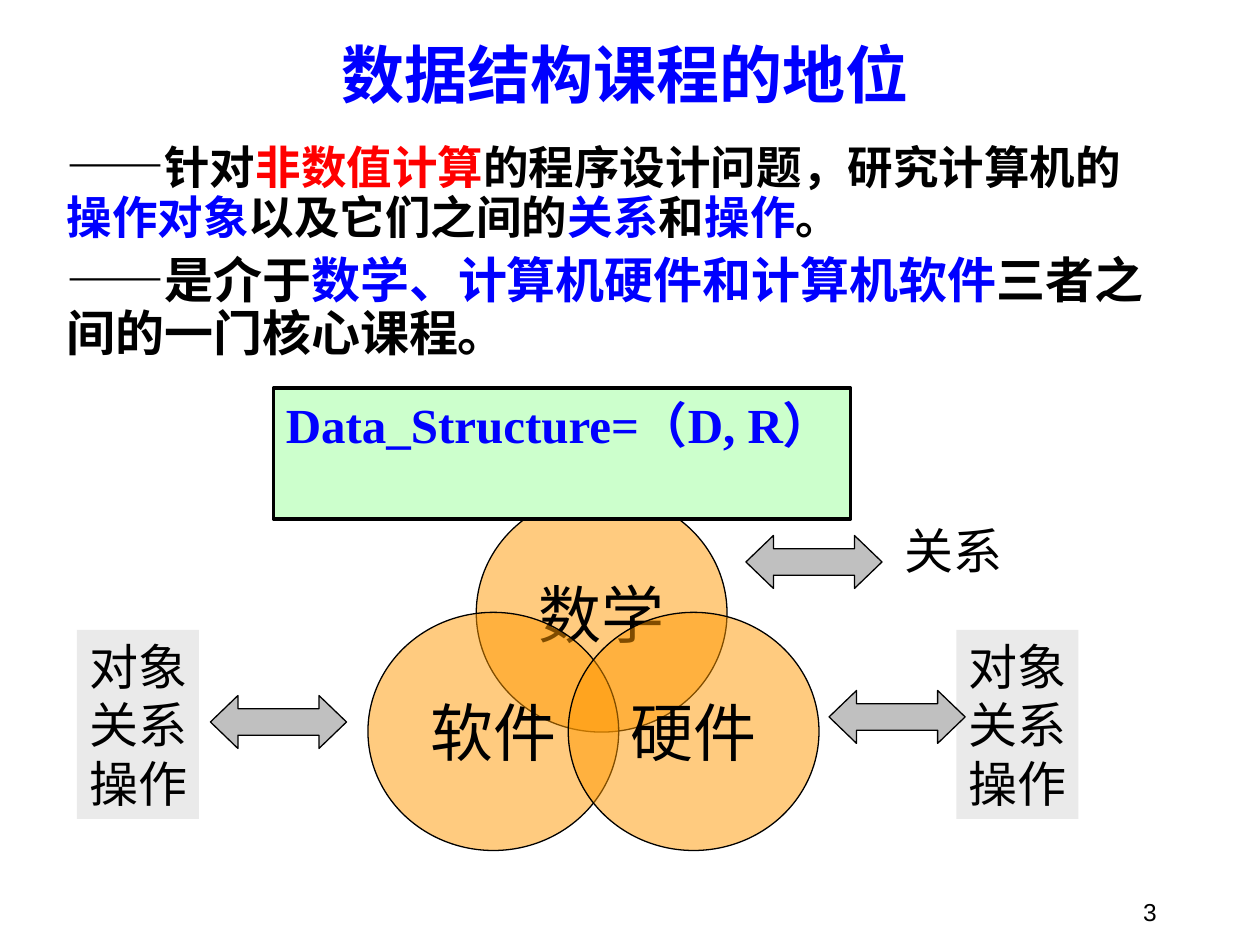
from dataclasses import dataclass

from pptx import Presentation
from pptx import util as u
from pptx.dml.color import RGBColor
from pptx.enum import shapes, text
from pptx.oxml.xmlchemy import OxmlElement


@dataclass(frozen=True)
class Theme:
    """Colours, fonts and type sizes of the slide."""
    black: str = "000000"
    blue: str = "0000FF"
    red: str = "FF0000"
    orange: str = "FF9900"
    silver: str = "C0C0C0"
    pale_grey: str = "EAEAEA"
    pale_green: str = "CCFFCC"
    sans: str = "Arial"
    narrow: str = "Arial Narrow"
    serif: str = "Times New Roman"
    heading: str = "Montserrat"
    title: int = 36
    label: int = 28
    body: int = 26
    footer: int = 14


THEME = Theme()
ASPECTS = ["对象", "关系", "操作"]


def set_font(font, size, name=THEME.sans, color=THEME.black, bold=False):
    """Format a font."""
    font.size, font.name, font.bold = u.Pt(size), name, bold
    font.color.rgb = RGBColor.from_string(color)


def write_lines(shape, lines, size, align=text.PP_ALIGN.LEFT,
                anchor=text.MSO_ANCHOR.TOP, wrap=True, **style):
    """Write one evenly formatted paragraph for each line."""
    frame = shape.text_frame
    frame.auto_size = text.MSO_AUTO_SIZE.NONE
    frame.word_wrap, frame.vertical_anchor = wrap, anchor
    frame.text = "\n".join(lines)
    for paragraph in frame.paragraphs:
        paragraph.alignment = align
        set_font(paragraph.font, size, **style)


def add_title(slide, title):
    """Place and format the title placeholder."""
    shape = slide.shapes.title
    shape.left, shape.top = u.Inches(1.67), u.Inches(0.25)
    shape.width, shape.height = u.Inches(6.58), u.Inches(0.67)
    write_lines(shape, [title], THEME.title, text.PP_ALIGN.CENTER, text.MSO_ANCHOR.MIDDLE,
                name=THEME.heading, color=THEME.blue, bold=True)


def add_label(slide, box, label, size, **layout):
    """Add a plain text box."""
    shape = slide.shapes.add_textbox(*map(u.Inches, box))
    write_lines(shape, [label], size, **layout)


def add_description(slide, box, paragraphs):
    """Add bold paragraphs made of sized and coloured runs."""
    frame = slide.shapes.add_textbox(*map(u.Inches, box)).text_frame
    frame.word_wrap = True
    for index, runs in enumerate(paragraphs):
        paragraph = frame.add_paragraph() if index else frame.paragraphs[0]
        paragraph.line_spacing = 0.9
        if index:
            paragraph.space_before = u.Pt(7)
        for wording, size, color in runs:
            run = paragraph.add_run()
            run.text = wording
            set_font(run.font, size, color=color, bold=True)


def add_filled(parent, kind, box, fill, line_width=0):
    """Add a preset shape with a flat fill and an optional black outline."""
    shape = parent.shapes.add_shape(kind, *map(u.Inches, box))
    shape.shadow.inherit = False
    shape.fill.solid()
    shape.fill.fore_color.rgb = RGBColor.from_string(fill)
    if line_width:
        shape.line.color.rgb = RGBColor.from_string(THEME.black)
        shape.line.width = u.Pt(line_width)
    else:
        shape.line.fill.background()
    return shape


def add_aspects(slide, left):
    """Add a grey box listing the aspects of a field."""
    shape = add_filled(slide, shapes.MSO_SHAPE.RECTANGLE, (left, 5, 0.97, 1.5), THEME.pale_grey)
    write_lines(shape, ASPECTS, THEME.label, wrap=False)


def add_field(group, left, top, name):
    """Add a half-transparent circle of the Venn diagram."""
    shape = add_filled(group, shapes.MSO_SHAPE.OVAL, (left, top, 1.99, 1.89), THEME.orange, 0.75)
    alpha = OxmlElement("a:alpha")
    alpha.set("val", "50000")
    shape.fill._xPr.find(".//{*}solidFill/{*}srgbClr").append(alpha)
    write_lines(shape, [name], THEME.title, text.PP_ALIGN.CENTER, text.MSO_ANCHOR.MIDDLE,
                wrap=False, name=THEME.narrow)


def add_double_arrow(slide, left, top):
    """Add a grey two-way arrow."""
    shape = add_filled(slide, shapes.MSO_SHAPE.LEFT_RIGHT_ARROW, (left, top, 1.08, 0.42),
                       THEME.silver, 0.75)
    shape.adjustments[0], shape.adjustments[1] = 0.5, 0.52


def add_formula(slide, formula):
    """Add the outlined formula box."""
    shape = add_filled(slide, shapes.MSO_SHAPE.RECTANGLE, (2.17, 3.08, 4.58, 1.04),
                       THEME.pale_green, 2)
    write_lines(shape, [formula], THEME.label, name=THEME.serif, color=THEME.blue, bold=True)


def main():
    """Build the slide and save it."""
    presentation = Presentation()
    presentation.slide_width, presentation.slide_height = u.Inches(10), u.Inches(7.5)
    slide = presentation.slides.add_slide(presentation.slide_layouts[5])
    black, blue, body, label = THEME.black, THEME.blue, THEME.body, THEME.label

    add_title(slide, "数据结构课程的地位")
    add_description(slide, (0.43, 1.08, 8.82, 1.83), [
        [("——", label, black), ("针对", body, black), ("非数值计算", body, THEME.red),
         ("的程序设计问题，研究计算机的", body, black), ("操作对象", body, blue),
         ("以及它们之间的", body, black), ("关系", body, blue), ("和", body, black),
         ("操作", body, blue), ("。", body, black)],
        [("——是介于", label, black), ("数学、计算机硬件和计算机软件", label, blue),
         ("三者之间的一门核心课程。", label, black)],
    ])
    add_label(slide, (7.08, 4.08, 1.17, 0.57), "关系", label)
    add_aspects(slide, 7.59)
    venn = slide.shapes.add_group_shape()
    for left, top, name in [(3.78, 3.92, "数学"), (2.92, 4.86, "软件"), (4.51, 4.86, "硬件")]:
        add_field(venn, left, top, name)
    for left, top in [(5.92, 4.25), (6.58, 5.48), (1.67, 5.52)]:
        add_double_arrow(slide, left, top)
    add_aspects(slide, 0.61)
    add_formula(slide, "Data_Structure=（D, R）")
    add_label(slide, (7.2, 6.9, 2.08, 0.5), "3", THEME.footer,
              align=text.PP_ALIGN.RIGHT, anchor=text.MSO_ANCHOR.BOTTOM)
    presentation.save("out.pptx")


if __name__ == "__main__":
    main()
